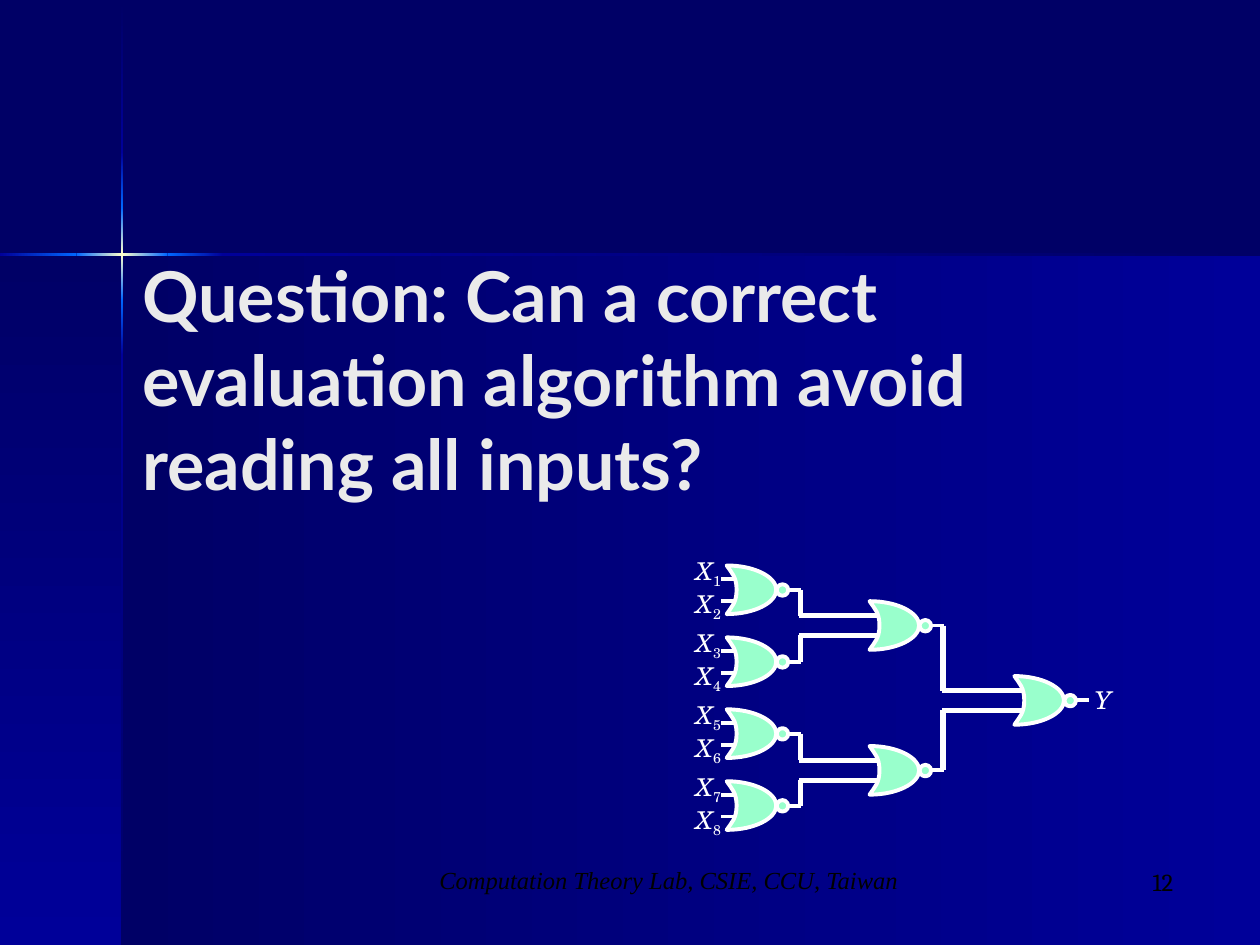
import pptx
import pptx.util
import pptx.dml.color
import pptx.enum.shapes
import pptx.enum.text
import pptx.oxml
import pptx.oxml.ns
from pptx.util import Cm

SHAPE = pptx.enum.shapes.MSO_SHAPE
ALIGN = pptx.enum.text.PP_ALIGN
ANCHOR = pptx.enum.text.MSO_ANCHOR
AUTO = pptx.enum.text.MSO_AUTO_SIZE
qn = pptx.oxml.ns.qn
NS = pptx.oxml.ns.nsdecls("a")


def rgb(value):
    return pptx.dml.color.RGBColor.from_string(value)


class Slide:
    NAVY, BLUE, BRIGHT, GLOW = "000066", "000099", "0066FF", "FFFFCC"
    MINT, WHITE = "99FFCC", "FFFFFF"
    TITLE = dict(name="Lato", size=40, color="EAEAEA", bold=True)
    LABEL = dict(name="TeX Gyre Schola", size=14, color="FFFFFF", italic=True)
    FOOTER = dict(name="Times New Roman", size=14, color="000000", italic=True)
    NUMBER = dict(name="Cambria", size=14, color="000000")
    # NOR gate outline from its top left corner: three Bezier curves, y from centre
    START = (0, -0.49)
    CURVES = [(0.1, -0.34), (0.2, -0.26), (0.2, 0), (0.2, 0.26), (0.1, 0.34), (0, 0.49),
              (0.56, 0.49), (1, 0.26), (1, 0), (1, -0.26), (0.56, -0.49), (0, -0.49)]

    def __init__(self, s):
        self.s = s
        s.background.fill.solid()
        s.background.fill.fore_color.rgb = rgb(self.NAVY)

    def gradient_box(self, x, y, w, h, colors, angle):
        sp = self.s.shapes.add_shape(SHAPE.RECTANGLE, Cm(x), Cm(y), Cm(w), Cm(h))
        stops = "".join(
            f'<a:gs pos="{100000 * i // (len(colors) - 1)}"><a:srgbClr val="{c}"/></a:gs>'
            for i, c in enumerate(colors))
        sp._element.spPr.insert(2, pptx.oxml.parse_xml(
            f'<a:gradFill {NS} rotWithShape="1"><a:gsLst>{stops}</a:gsLst>'
            f'<a:lin ang="{angle * 60000}" scaled="0"/></a:gradFill>'))
        sp.line.fill.background()
        sp.shadow.inherit = False

    def text(self, x, y, w, h, paragraphs, style, align=None, anchor=ANCHOR.TOP, wrap=True):
        """Each paragraph is a list of runs; a run starting with "_" is a subscript."""
        tf = self.s.shapes.add_textbox(Cm(x), Cm(y), Cm(w), Cm(h)).text_frame
        tf.word_wrap = wrap
        tf.auto_size = AUTO.NONE if wrap else AUTO.SHAPE_TO_FIT_TEXT
        tf.vertical_anchor = anchor
        for i, runs in enumerate(paragraphs):
            p = tf.add_paragraph() if i else tf.paragraphs[0]
            p.alignment = align
            for text in runs:
                r = p.add_run()
                r.text = text.lstrip("_")
                self.format(r.font, style)
                if text.startswith("_"):
                    r.font.italic = False
                    r._r.get_or_add_rPr().set("baseline", "-25000")

    def format(self, font, style):
        for key, value in style.items():
            if key == "color":
                font.color.rgb = rgb(value)
            else:
                setattr(font, key, pptx.util.Pt(value) if key == "size" else value)

    def line(self, x1, y1, x2, y2, width=2.25):
        c = self.s.shapes.add_connector(pptx.enum.shapes.MSO_CONNECTOR.STRAIGHT,
                                        Cm(x1), Cm(y1), Cm(x2), Cm(y2))
        c.line.color.rgb = rgb(self.WHITE)
        c.line.width = pptx.util.Pt(width)
        c._element.spPr.append(pptx.oxml.parse_xml(f"<a:effectLst {NS}/>"))

    def paint(self, sp):
        sp.fill.solid()
        sp.fill.fore_color.rgb = rgb(self.MINT)
        sp.line.color.rgb = rgb(self.WHITE)
        sp.line.width = pptx.util.Pt(2.25)
        sp.shadow.inherit = False

    def gate(self, x, cy):
        (sx, sy), curves = self.START, self.CURVES
        fb = self.s.shapes.build_freeform(Cm(x + sx), Cm(cy + sy))
        fb.add_line_segments([(Cm(x + dx), Cm(cy + dy)) for dx, dy in curves], close=True)
        sp = fb.convert_to_shape()
        # Turn each three line points into one cubic curve
        path = sp._element.spPr.find(".//" + qn("a:path"))
        points = path.findall(qn("a:lnTo"))
        for i in range(0, len(curves), 3):
            curve = pptx.oxml.parse_xml(f"<a:cubicBezTo {NS}/>")
            points[i].addprevious(curve)
            for point in points[i:i + 3]:
                curve.append(point[0])
                path.remove(point)
        self.paint(sp)
        self.line(x + 1, cy, x + 1.5, cy)
        self.paint(self.s.shapes.add_shape(SHAPE.OVAL, Cm(x + 1.01), Cm(cy - 0.11),
                                           Cm(0.23), Cm(0.23)))

    def wires(self, x1, sources, x2, cy):
        for source, y in zip(sources, (cy - 0.2, cy + 0.2)):
            self.line(x1 + 1.48, source, x1 + 1.48, y, 3)
            self.line(x1 + 1.46, y, x2 + 0.16, y, 3)


def main():
    prs = pptx.Presentation()
    prs.slide_width, prs.slide_height = Cm(25.4), Cm(19.05)
    d = Slide(prs.slides.add_slide(prs.slide_layouts[6]))

    # Background panels
    d.gradient_box(2.46, 5.13, 22.94, 13.92, [d.BLUE, d.NAVY], 180)
    d.gradient_box(0, 5.13, 2.46, 13.92, [d.NAVY, d.BLUE], 90)

    # Glowing cross: vertical, then horizontal beam
    flare = [d.BRIGHT, d.GLOW, d.BRIGHT]
    for top, bottom, colors in [
            (0.03, 3.07, [d.NAVY, d.BLUE]), (7.16, 19.05, [d.BLUE, d.NAVY]),
            (6.05, 7.16, [d.BRIGHT, d.BLUE]), (3.07, 4.19, [d.BLUE, d.BRIGHT]),
            (4.19, 6.05, flare)]:
        d.gradient_box(2.44, top, 0.05, bottom - top, colors, 90)
    for left, right, colors in [
            (4.5, 25.4, [d.NAVY, d.BLUE]), (0, 1.54, [d.BRIGHT, d.BLUE]),
            (3.38, 4.5, [d.BLUE, d.BRIGHT]), (1.54, 3.38, flare)]:
        d.gradient_box(left, 5.11, right - left, 0.05, colors, 180)

    # Title
    d.text(2.62, 4.78, 19.74, 5.69,
           [["Question: Can a correct evaluation algorithm avoid reading all inputs?"]],
           d.TITLE, anchor=ANCHOR.MIDDLE)

    # NOR tree: gate columns and the centre heights of their gates
    columns = [14.65, 17.53, 20.45]
    levels = [[11.89 + 1.45 * i for i in range(4)], [12.61, 15.53], [14.12]]
    for level, (x, centres) in enumerate(zip(columns, levels)):
        for i, cy in enumerate(centres):
            if level:
                d.wires(columns[level - 1], levels[level - 1][2 * i:2 * i + 2], x, cy)
            d.gate(x, cy)
            if level == 0:
                for y in (cy - 0.22, cy + 0.22):
                    d.line(x - 0.12, y, x + 0.16, y)
                d.text(x - 0.88, cy - 0.81, 1.02, 1.6,
                       [["X", f"_{n}"] for n in (2 * i + 1, 2 * i + 2)],
                       d.LABEL, ALIGN.CENTER, ANCHOR.MIDDLE, wrap=False)
    d.text(21.82, 13.67, 0.84, 0.86, [["Y"]], d.LABEL, ALIGN.CENTER, ANCHOR.MIDDLE, wrap=False)

    # Footer
    d.text(7.95, 17.32, 11.07, 1.27, [["Computation Theory Lab, CSIE, CCU, Taiwan"]],
           d.FOOTER, ALIGN.CENTER)
    d.text(18.62, 17.35, 5.28, 1.27, [["12"]], d.NUMBER, ALIGN.RIGHT)
    prs.save("out.pptx")


if __name__ == "__main__":
    main()
